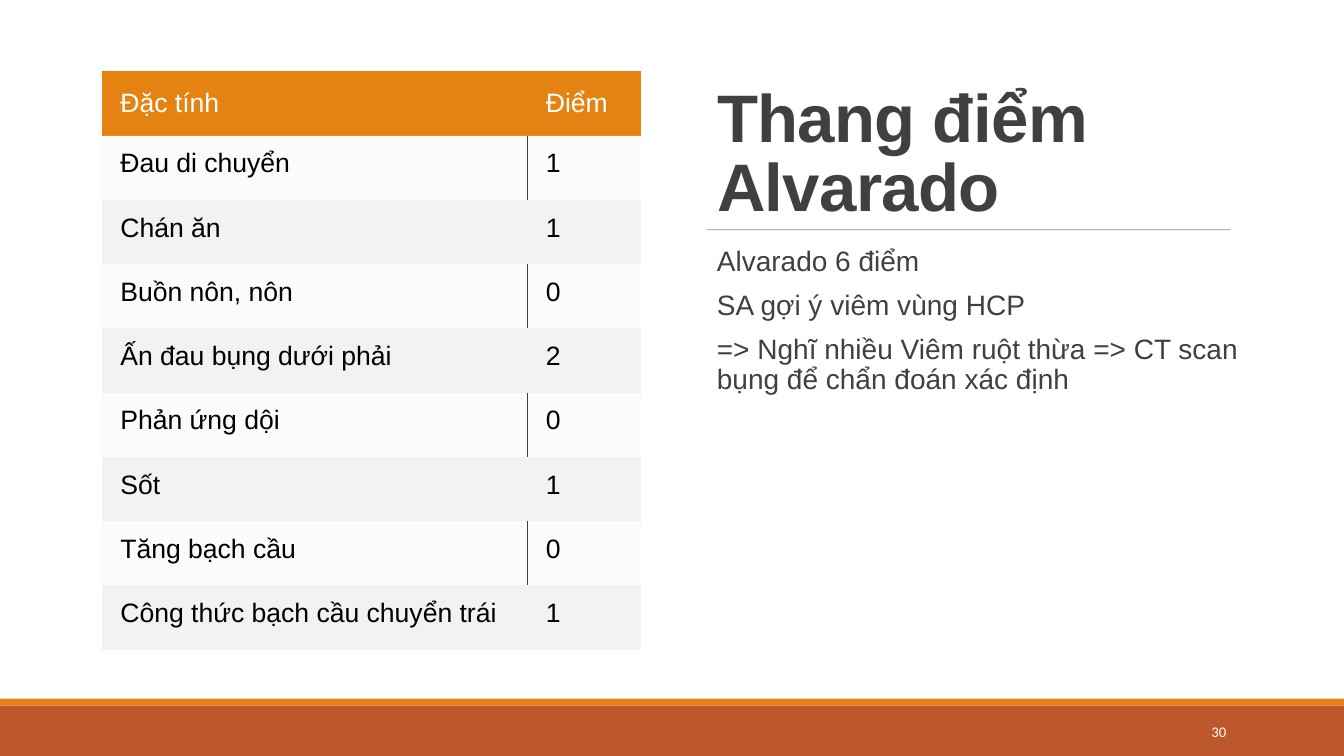
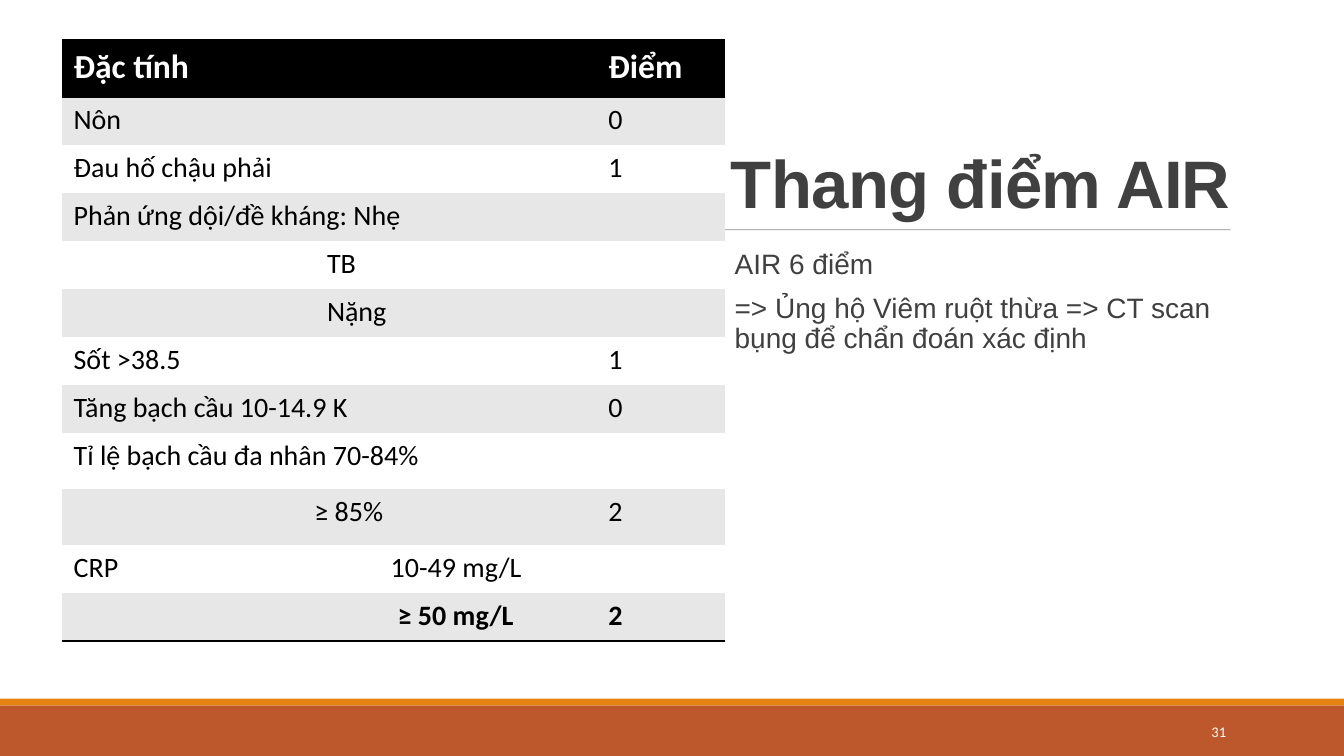
from lxml import etree
from pptx import Presentation
from pptx.dml.color import RGBColor
from pptx.enum import shapes, text
from pptx.oxml import ns
from pptx.util import Pt

SLIDE_WIDTH, SLIDE_HEIGHT = 960, 540
ORANGE, RUST, INK, RULE = "E48312", "BD582C", "404040", "808080"
BLACK, WHITE, PALE, SILVER = "000000", "FFFFFF", "F2F2F2", "E7E7E7"
HEADING_FONT, NUMBER_FONT = "Arial", "Calibri"
PLAIN_TABLE_STYLE = "{2D5ABB26-0587-4C30-8999-92F81FD0307C}"
RULE_Y = 164.2

ALVARADO_ROWS = [
    ("Đặc tính", "Điểm"),
    ("Đau di chuyển", "1"),
    ("Chán ăn", "1"),
    ("Buồn nôn, nôn", "0"),
    ("Ấn đau bụng dưới phải", "2"),
    ("Phản ứng dội", "0"),
    ("Sốt", "1"),
    ("Tăng bạch cầu", "0"),
    ("Công thức bạch cầu chuyển trái", "1"),
]
AIR_ROWS = [
    ("Đặc tính", "Điểm"),
    ("Nôn", "0"),
    ("Đau hố chậu phải", "1"),
    ("Phản ứng dội/đề kháng: Nhẹ", ""),
    ("TB", ""),
    ("Nặng", ""),
    ("Sốt >38.5", "1"),
    ("Tăng bạch cầu 10-14.9 K", "0"),
    ("Tỉ lệ bạch cầu đa nhân 70-84%", ""),
    ("≥ 85%", "2"),
    ("CRP\t10-49 mg/L", ""),
    ("≥ 50 mg/L", "2"),
]
AIR_INDENTS = {4: 181, 5: 181, 9: 172, 11: 231.5}
AIR_TALL_ROWS = (0, 8, 9)
CRP_TAB = 226.5


def fill_solid(fill, color, opacity=100):
    """Give a fill one solid colour from a hex string, with an opacity in percent."""
    fill.solid()
    fill.fore_color.rgb = RGBColor.from_string(color)
    if opacity < 100:
        color_element = fill.fore_color._xFill[0]
        etree.SubElement(color_element, ns.qn("a:alpha"), val=str(opacity * 1000))


def write(paragraph, words, size, font=HEADING_FONT, color=INK, bold=False,
          align=text.PP_ALIGN.LEFT, line=None, before=None, after=None,
          tracking=None, indent=0, tab=None):
    """Write one formatted run into a paragraph."""
    properties = paragraph._p.get_or_add_pPr()
    if indent:
        properties.set("marL", str(Pt(indent)))
        properties.set("indent", "0")
    paragraph.alignment = align
    if line is not None:
        paragraph.line_spacing = line
    if before is not None:
        paragraph.space_before = Pt(before)
    if after is not None:
        paragraph.space_after = Pt(after)
    if tab is not None:
        tabs = etree.SubElement(properties, ns.qn("a:tabLst"))
        etree.SubElement(tabs, ns.qn("a:tab"), pos=str(Pt(tab)), algn="l")
    run = paragraph.add_run()
    run.text = words
    run.font.size = Pt(size)
    run.font.name = font
    run.font.bold = bold
    fill_solid(run.font.fill, color)
    if tracking is not None:
        run._r.get_or_add_rPr().set("spc", str(int(tracking * 100)))


def add_box(slide, left, top, width, height, anchor=text.MSO_ANCHOR.TOP):
    """Add a wrapping text box and return its text frame."""
    frame = slide.shapes.add_textbox(
        Pt(left), Pt(top), Pt(width), Pt(height)).text_frame
    frame.word_wrap = True
    frame.vertical_anchor = anchor
    return frame


def add_footer(slide, number):
    """Draw the two bottom bands and the slide number."""
    for top, height, color in ((499, 5, ORANGE), (504, 36, RUST)):
        band = slide.shapes.add_shape(
            shapes.MSO_SHAPE.RECTANGLE, 0, Pt(top), Pt(SLIDE_WIDTH), Pt(height))
        band.shadow.inherit = False
        fill_solid(band.fill, color)
        band.line.fill.background()
    frame = add_box(slide, 780, 508.5, 103, 28.75, text.MSO_ANCHOR.MIDDLE)
    write(frame.paragraphs[0], str(number), 10.5, NUMBER_FONT, WHITE,
          align=text.PP_ALIGN.RIGHT, after=6)


def add_title(slide, words, left, top):
    """Place the title above a thin rule."""
    title = slide.shapes.title
    title.left, title.top, title.width, title.height = map(
        Pt, (left, top, 404, 114.5))
    frame = title.text_frame
    frame.word_wrap = True
    frame.auto_size = text.MSO_AUTO_SIZE.NONE
    frame.vertical_anchor = text.MSO_ANCHOR.BOTTOM
    write(frame.paragraphs[0], words, 48, bold=True, line=0.85, tracking=-0.5)
    rule = slide.shapes.add_connector(
        shapes.MSO_CONNECTOR.STRAIGHT, Pt(505), Pt(RULE_Y), Pt(879), Pt(RULE_Y))
    rule.line.width = Pt(0.5)
    fill_solid(rule.line.fill, RULE, 90)
    etree.SubElement(rule._element.spPr, ns.qn("a:effectLst"))


def add_conclusions(slide, lines, left, top):
    """Write the conclusions below the title rule."""
    frame = add_box(slide, left, top, 404, 288.75)
    for index, words in enumerate(lines):
        paragraph = frame.add_paragraph() if index else frame.paragraphs[0]
        write(paragraph, words, 20, line=0.9, before=10 if index else None)


def add_plain_table(slide, left, top, widths, heights):
    """Add an unstyled table with the given column widths and row heights."""
    frame = slide.shapes.add_table(
        len(heights), len(widths), Pt(left), Pt(top),
        Pt(sum(widths)), Pt(sum(heights)))
    frame.element.find(".//" + ns.qn("a:tableStyleId")).text = PLAIN_TABLE_STYLE
    table = frame.table
    for column, width in zip(table.columns, widths):
        column.width = Pt(width)
    for row, height in zip(table.rows, heights):
        row.height = Pt(height)
    return table


def border(cell, sides, color, width):
    """Draw solid borders on the sides named by L, R, T and B, in that order."""
    properties = cell._tc.get_or_add_tcPr()
    for side in sides:
        line = etree.SubElement(properties, ns.qn("a:ln" + side), w=str(Pt(width)))
        solid = etree.SubElement(line, ns.qn("a:solidFill"))
        etree.SubElement(solid, ns.qn("a:srgbClr"), val=color)


def fill_cell(cell, words, margins, background, opacity=100, **style):
    """Set the margins, fill and text of a cell."""
    (cell.margin_left, cell.margin_top,
     cell.margin_right, cell.margin_bottom) = map(Pt, margins)
    fill_solid(cell.fill, background, opacity)
    if words:
        write(cell.text_frame.paragraphs[0], words, **style)


def add_alvarado_table(slide, left, top):
    """Build the Alvarado score table."""
    table = add_plain_table(slide, left, top, (304, 81), [45.9] * len(ALVARADO_ROWS))
    for row, values in enumerate(ALVARADO_ROWS):
        light = row % 2 == 1
        for column, words in enumerate(values):
            cell = table.cell(row, column)
            if light:
                border(cell, "RL"[column], INK, 0.5)
            if row == 0:
                cell.vertical_anchor = text.MSO_ANCHOR.MIDDLE
            fill_cell(cell, words, (13, 9.4, 12.2, 9.4),
                      PALE if row else ORANGE, 30 if light else 100,
                      size=19, color=BLACK if row else WHITE)


def add_air_table(slide, left, top):
    """Build the AIR score table."""
    last = len(AIR_ROWS) - 1
    heights = [40 if row in AIR_TALL_ROWS else 34.3 for row in range(last + 1)]
    table = add_plain_table(slide, left, top, (382, 92), heights)
    for row, values in enumerate(AIR_ROWS):
        header = row == 0
        background = BLACK if header else SILVER if row % 2 else WHITE
        for column, words in enumerate(values):
            cell = table.cell(row, column)
            border(cell, {0: "TB", last: "B"}.get(row, ""), BLACK, 2)
            fill_cell(cell, words, (8.6, 4.3, 8.6, 4.3), background,
                      size=24 if header else 20, font=NUMBER_FONT,
                      color=WHITE if header else BLACK, bold=row in (0, last),
                      indent=0 if column else AIR_INDENTS.get(row, 0),
                      tab=CRP_TAB if "\t" in words else None)


def add_score_slide(presentation, number, title, title_at, lines, lines_at,
                    add_table, table_at):
    """Build a slide with a score table beside its title and conclusions."""
    slide = presentation.slides.add_slide(presentation.slide_layouts[5])
    add_title(slide, title, *title_at)
    add_conclusions(slide, lines, *lines_at)
    add_footer(slide, number)
    add_table(slide, *table_at)


def main():
    """Build and save the presentation."""
    presentation = Presentation()
    presentation.slide_width = Pt(SLIDE_WIDTH)
    presentation.slide_height = Pt(SLIDE_HEIGHT)
    add_score_slide(
        presentation, 30, "Thang điểm Alvarado", (505, 49.7),
        ["Alvarado 6 điểm", "SA gợi ý viêm vùng HCP",
         "=> Nghĩ nhiều Viêm ruột thừa => CT scan bụng để chẩn đoán xác định"],
        (505, 172.8), add_alvarado_table, (73, 51))
    add_score_slide(
        presentation, 31, "Thang điểm AIR", (514.8, 48.2),
        ["AIR 6 điểm",
         "=> Ủng hộ Viêm ruột thừa => CT scan bụng để chẩn đoán xác định"],
        (517.7, 175), add_air_table, (44, 29))
    presentation.save("out.pptx")


if __name__ == "__main__":
    main()
